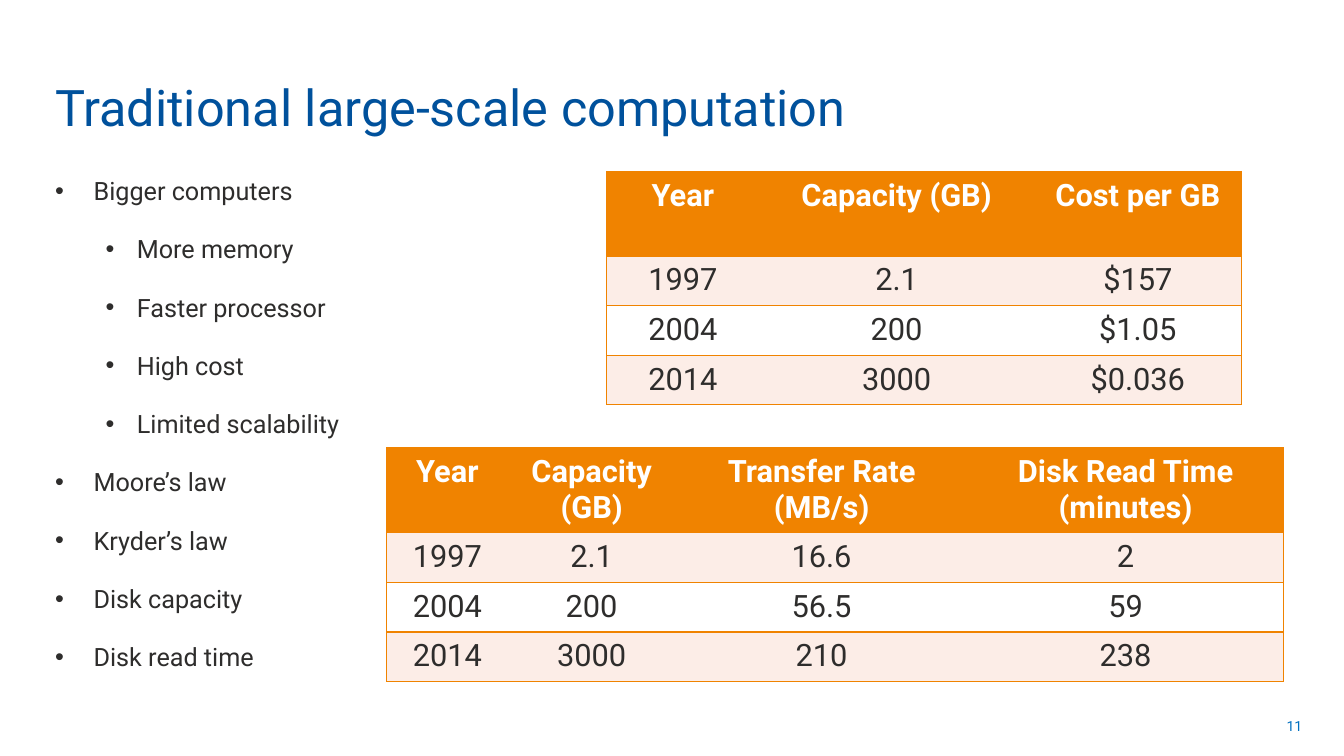
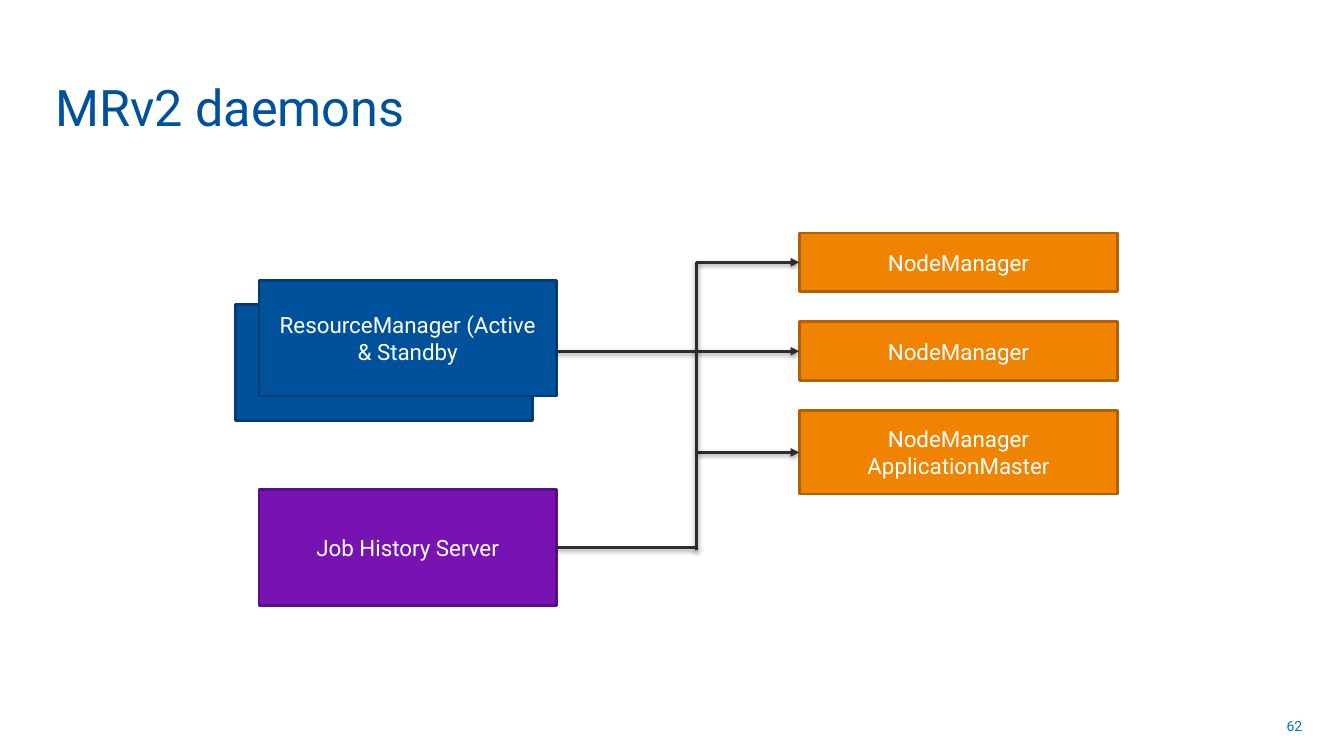
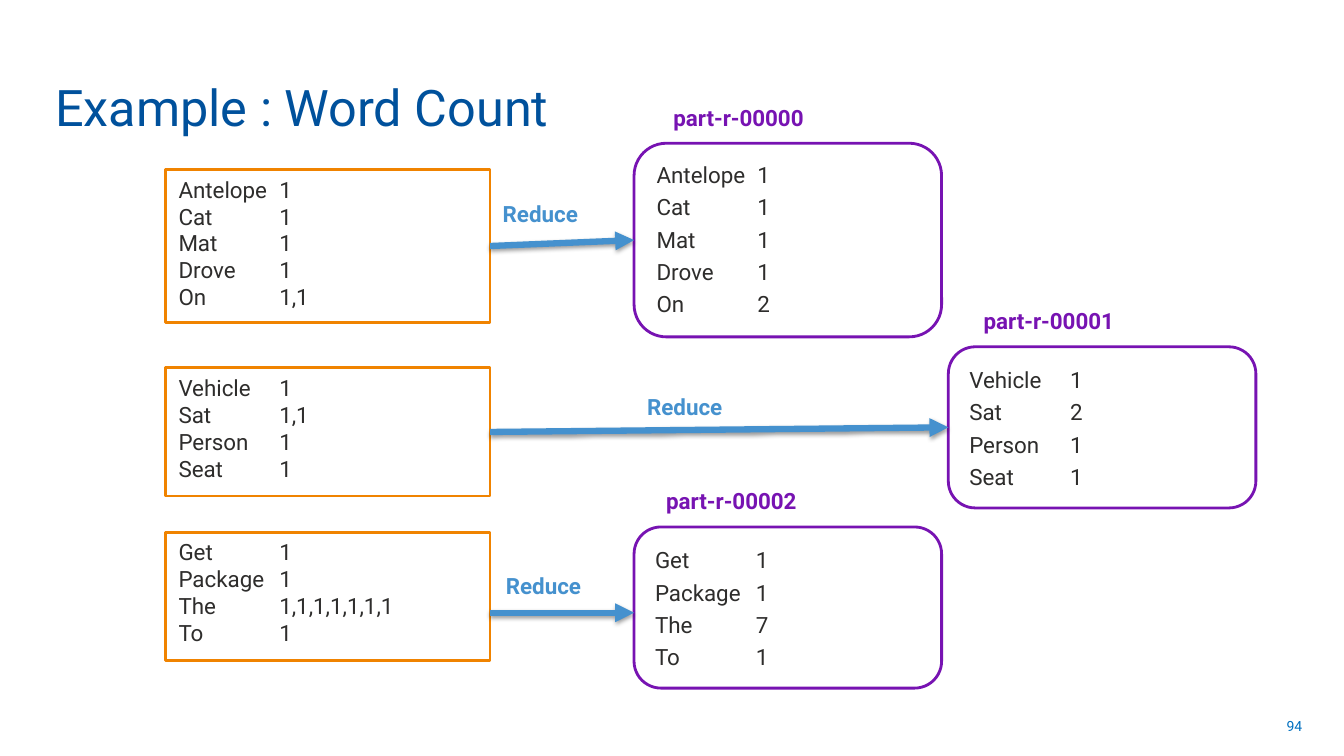
from lxml import etree
from pptx import Presentation
from pptx import util as u
from pptx.dml.color import RGBColor
from pptx.enum import shapes, text
from pptx.oxml import parse_xml
from pptx.oxml.ns import nsdecls, qn

BLUE = RGBColor(0x00, 0x51, 0x9C)
DARK_BLUE = RGBColor(0x00, 0x3C, 0x73)
LIGHT_BLUE = RGBColor(0x45, 0x91, 0xCE)
NUMBER_BLUE = RGBColor(0x00, 0x70, 0xC0)
ORANGE = RGBColor(0xF0, 0x83, 0x00)
DARK_ORANGE = RGBColor(0xB2, 0x61, 0x00)
PURPLE = RGBColor(0x77, 0x13, 0xB2)
DARK_PURPLE = RGBColor(0x58, 0x0E, 0x84)
PINK = RGBColor(0xFC, 0xED, 0xE7)
INK = RGBColor(0x2E, 0x2D, 0x2C)
WHITE = RGBColor(0xFF, 0xFF, 0xFF)

FONT = "Roboto"
LEFT, CENTER, RIGHT = text.PP_ALIGN.LEFT, text.PP_ALIGN.CENTER, text.PP_ALIGN.RIGHT
TOP, MIDDLE, BOTTOM = text.MSO_ANCHOR.TOP, text.MSO_ANCHOR.MIDDLE, text.MSO_ANCHOR.BOTTOM
RECTANGLE = shapes.MSO_SHAPE.RECTANGLE
ROUNDED = shapes.MSO_SHAPE.ROUNDED_RECTANGLE
PAD = (0.33, 0.16)
TEXT_PAD = (0.25, 0.13)
SHADOW = (
    f'<a:effectLst {nsdecls("a")}><a:outerShdw blurRad="40000" dist="20000" dir="5400000"'
    ' rotWithShape="0"><a:srgbClr val="000000"><a:alpha val="38000"/></a:srgbClr>'
    '</a:outerShdw></a:effectLst>'
)


def lengths(*values):
    return [u.Cm(value) for value in values]


class Deck:
    def __init__(self):
        self.deck = Presentation()
        self.deck.slide_width, self.deck.slide_height = lengths(33.87, 19.05)
        self.page = None

    def start_page(self, title, number):
        self.page = self.deck.slides.add_slide(self.deck.slide_layouts[5])
        box = self.page.shapes.title
        box.left, box.top, box.width, box.height = lengths(1.14, 0.36, 25.35, 3.2)
        self.set_words(box.text_frame, title, 36, BLUE, anchor=BOTTOM, pad=TEXT_PAD)
        self.label(number, (25.17, 17.78, 7.9, 1.02), 10, NUMBER_BLUE,
                   bold=False, align=RIGHT, anchor=MIDDLE, pad=TEXT_PAD)

    def set_words(self, frame, words, size, color, bold=False, align=LEFT, anchor=TOP, pad=PAD):
        frame.text = words
        frame.word_wrap = True
        frame.auto_size = text.MSO_AUTO_SIZE.NONE
        frame.vertical_anchor = anchor
        frame.margin_left = frame.margin_right = u.Cm(pad[0])
        frame.margin_top = frame.margin_bottom = u.Cm(pad[1])
        for para in frame.paragraphs:
            self.style(para, size, color, bold, align)

    def style(self, para, size, color, bold, align):
        para.alignment = align
        for span in para.runs:
            span.font.name = FONT
            span.font.size = u.Pt(size)
            span.font.bold = bold
            span.font.color.rgb = color

    def label(self, words, place, size, color, bold=True, **layout):
        box = self.page.shapes.add_textbox(*lengths(*place))
        self.set_words(box.text_frame, words, size, color, bold, **layout)
        return box

    def bullets(self, items, place):
        words = "\n".join(item for level, item in items)
        box = self.label(words, place, 18, INK, bold=False, pad=TEXT_PAD)
        for index, (para, (level, item)) in enumerate(zip(box.text_frame.paragraphs, items)):
            para.level = level
            para.space_before = u.Pt(10 if index else 0)
            para.space_after = u.Pt(10)
            margin, hang = ((0.97, 0.97), (2.06, 0.79))[level]
            properties = para._p.get_or_add_pPr()
            properties.set("marL", str(u.Cm(margin)))
            properties.set("indent", str(-u.Cm(hang)))
            color = etree.SubElement(properties, qn("a:buClr"))
            etree.SubElement(color, qn("a:srgbClr"), val=str(INK))
            etree.SubElement(properties, qn("a:buFont"), typeface="Arial")
            etree.SubElement(properties, qn("a:buChar"), char="•")

    def box(self, kind, place, fill, line, words="", color=WHITE, align=CENTER,
            anchor=MIDDLE, pad=PAD):
        box = self.page.shapes.add_shape(kind, *lengths(*place))
        box.shadow.inherit = False
        box.fill.solid()
        box.fill.fore_color.rgb = fill
        box.line.color.rgb = line
        box.line.width = u.Pt(2)
        self.set_words(box.text_frame, words, 16, color, align=align, anchor=anchor, pad=pad)
        return box

    def word_list(self, kind, place, line, pairs, spacing=1.0, pad=PAD):
        words = "\n".join(f"{word}\t{count}" for word, count in pairs)
        box = self.box(kind, place, WHITE, line, words, INK, LEFT, TOP, pad)
        for para in box.text_frame.paragraphs:
            para.line_spacing = spacing
            tabs = etree.SubElement(para._p.get_or_add_pPr(), qn("a:tabLst"))
            etree.SubElement(tabs, qn("a:tab"), pos=str(u.Cm(2.54)), algn="l")
        return box

    def line(self, start, end, color=INK, weight=2, arrow=True):
        points = [item if isinstance(item, tuple) else (0, 0) for item in (start, end)]
        line = self.page.shapes.add_connector(
            shapes.MSO_CONNECTOR.STRAIGHT, *lengths(*points[0], *points[1]))
        if not isinstance(start, tuple):
            line.begin_connect(start, 3)
        if not isinstance(end, tuple):
            line.end_connect(end, 1)
        line.line.color.rgb = color
        line.line.width = u.Pt(weight)
        if arrow:
            etree.SubElement(line.line._get_or_add_ln(), qn("a:tailEnd"), type="triangle")
        line._element.spPr.append(parse_xml(SHADOW))

    def table(self, place, widths, rows):
        heights = [2.13] + [1.25] * (len(rows) - 1)
        frame = self.page.shapes.add_table(
            len(rows), len(widths), *lengths(*place, sum(widths), sum(heights)))
        table = frame.table
        for column, width in zip(table.columns, widths):
            column.width = u.Cm(width)
        for index, (row, height, values) in enumerate(zip(table.rows, heights, rows)):
            row.height = u.Cm(height)
            header = index == 0
            fill = ORANGE if header else PINK if index % 2 else WHITE
            for position, (cell, value) in enumerate(zip(row.cells, values)):
                self.borders(cell, position == 0, position == len(widths) - 1)
                cell.fill.solid()
                cell.fill.fore_color.rgb = fill
                cell.margin_left = cell.margin_right = u.Cm(PAD[0])
                cell.margin_top = cell.margin_bottom = u.Cm(PAD[1])
                cell.text_frame.text = value
                self.style(cell.text_frame.paragraphs[0], 22,
                           WHITE if header else INK, header, CENTER)

    def borders(self, cell, first, last):
        properties = cell._tc.get_or_add_tcPr()
        for side, drawn in (("L", first), ("R", last), ("T", True), ("B", True)):
            edge = etree.SubElement(properties, qn(f"a:ln{side}"), w=str(u.Pt(1)))
            if drawn:
                fill = etree.SubElement(edge, qn("a:solidFill"))
                etree.SubElement(fill, qn("a:srgbClr"), val=str(ORANGE))
            else:
                etree.SubElement(edge, qn("a:noFill"))


def build_computation(deck):
    deck.start_page("Traditional large-scale computation", "11")
    deck.bullets([
        (0, "Bigger computers"),
        (1, "More memory"),
        (1, "Faster processor"),
        (1, "High cost"),
        (1, "Limited scalability"),
        (0, "Moore’s law"),
        (0, "Kryder’s law"),
        (0, "Disk capacity"),
        (0, "Disk read time"),
    ], (1.14, 4.29, 31.67, 12.62))
    deck.table((15.29, 4.32), (3.84, 6.93, 5.23), [
        ("Year", "Capacity (GB)", "Cost per GB"),
        ("1997", "2.1", "$157"),
        ("2004", "200", "$1.05"),
        ("2014", "3000", "$0.036"),
    ])
    deck.table((9.75, 11.28), (3.05, 4.22, 7.37, 7.95), [
        ("Year", "Capacity (GB)", "Transfer Rate (MB/s)", "Disk Read Time (minutes)"),
        ("1997", "2.1", "16.6", "2"),
        ("2004", "200", "56.5", "59"),
        ("2014", "3000", "210", "238"),
    ])


def build_daemons(deck):
    deck.start_page("MRv2 daemons", "62")
    width, height = 7.49, 2.92
    manager_left, manager_top = 6.53, 7.06
    deck.box(RECTANGLE, (5.94, 7.67, width, height), BLUE, DARK_BLUE)
    deck.box(RECTANGLE, (manager_left, manager_top, width, height), BLUE, DARK_BLUE,
             "ResourceManager (Active & Standby")
    history = deck.box(RECTANGLE, (manager_left, 12.34, width, height), PURPLE, DARK_PURPLE,
                       "Job History Server")
    trunk, top, gap = 17.55, 5.87, 0.76
    starts = ((trunk, 6.61), (manager_left + width, 8.85), (trunk, 11.4))
    names = ("NodeManager", "NodeManager", "NodeManager ApplicationMaster")
    for start, name, node_height in zip(starts, names, (1.48, 1.48, 2.1)):
        node = deck.box(RECTANGLE, (20.14, top, 8.03, node_height), ORANGE, DARK_ORANGE, name)
        deck.line(start, node)
        top += node_height + gap
    deck.line((trunk, 13.87), (trunk, 6.61), arrow=False)
    deck.line(history, (trunk, 13.8), arrow=False)


def build_word_count(deck):
    deck.start_page("Example : Word Count", "94")
    source_left, source_width, result_width = 4.17, 8.18, 7.75
    first = deck.word_list(
        RECTANGLE, (source_left, 4.27, source_width, 3.86), ORANGE,
        [("Antelope", "1"), ("Cat", "1"), ("Mat", "1"), ("Drove", "1"), ("On", "1,1")])
    second = deck.word_list(
        RECTANGLE, (source_left, 9.27, source_width, 3.23), ORANGE,
        [("Vehicle", "1"), ("Sat", "1,1"), ("Person", "1"), ("Seat", "1")])
    deck.word_list(
        RECTANGLE, (source_left, 13.41, source_width, 3.23), ORANGE,
        [("Get", "1"), ("Package", "1"), ("The", "1,1,1,1,1,1,1"), ("To", "1")])
    first_result = deck.word_list(
        ROUNDED, (15.98, 3.61, result_width, 4.88), PURPLE,
        [("Antelope", "1"), ("Cat", "1"), ("Mat", "1"), ("Drove", "1"), ("On", "2")],
        1.2, (0.33, 0.08))
    second_result = deck.word_list(
        ROUNDED, (23.9, 8.74, result_width, 4.06), PURPLE,
        [("Vehicle", "1"), ("Sat", "2"), ("Person", "1"), ("Seat", "1")], 1.2)
    deck.word_list(
        ROUNDED, (15.98, 13.28, result_width, 4.06), PURPLE,
        [("Get", "1"), ("Package", "1"), ("The", "7"), ("To", "1")], 1.2)
    for index, (left, top) in enumerate(((16.64, 2.46), (24.46, 7.59), (16.46, 12.12))):
        deck.label(f"part-r-{index:05}", (left, top, 5.77, 1.02), 16, PURPLE)
    reductions = (
        (first, first_result),
        (second, second_result),
        ((source_left + source_width, 15.44), (15.98, 15.44)),
    )
    for start, end in reductions:
        deck.line(start, end, LIGHT_BLUE, 4.5)
    for left, top in ((12.34, 4.88), (15.98, 9.75), (12.42, 14.27)):
        deck.label("Reduce", (left, top, 4, 1.02), 16, LIGHT_BLUE)


def main():
    deck = Deck()
    build_computation(deck)
    build_daemons(deck)
    build_word_count(deck)
    deck.deck.save("out.pptx")


if __name__ == "__main__":
    main()
